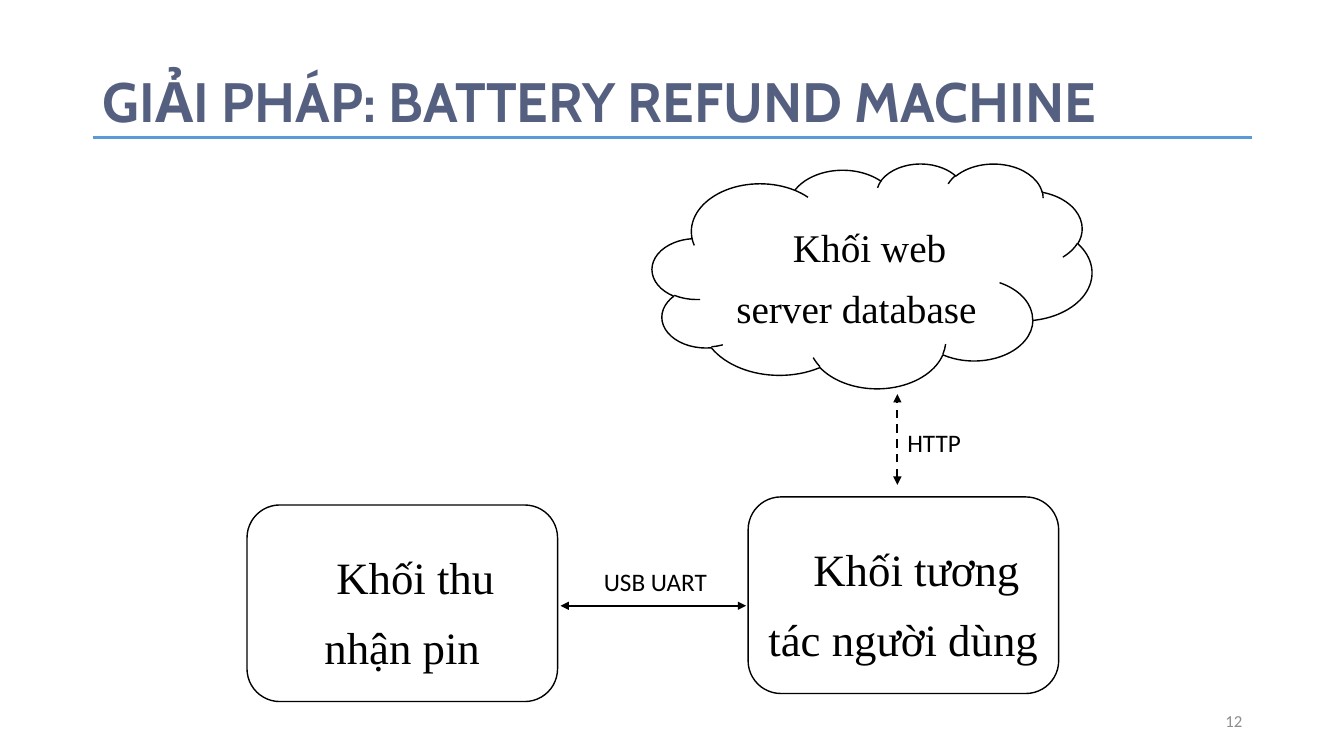
from pptx import Presentation
from pptx.dml.color import RGBColor
from pptx.enum.dml import MSO_LINE
from pptx.enum.shapes import MSO_CONNECTOR, MSO_SHAPE
from pptx.enum.text import MSO_ANCHOR, PP_ALIGN
from pptx.oxml.ns import qn
from pptx.util import Inches, Pt
from lxml.etree import SubElement

WIDTH, HEIGHT = 13.33, 7.5
BLACK = "000000"
MARGIN = 0.92
RULE_Y = 1.36
BLOCK_SIZE = (3.08, 1.95)
LABEL_SIZE = (1.31, 0.4)

TITLE = "GIẢI PHÁP: BATTERY REFUND MACHINE"
PAGE = "12"
BLOCKS = [
    ("Khối thu nhận pin", MSO_SHAPE.ROUNDED_RECTANGLE, (2.45, 5.01), BLOCK_SIZE, 32),
    ("Khối tương tác người dùng", MSO_SHAPE.ROUNDED_RECTANGLE, (7.42, 4.93), BLOCK_SIZE, 32),
    ("Khối web server database", MSO_SHAPE.CLOUD, (6.47, 1.62), (4.36, 2.23), 28),
]
LINKS = [
    ("USB UART", (5.89, 5.57), (5.56, 6.01), (7.4, 6.01), None),
    ("HTTP", (8.9, 4.19), (8.9, 4.81), (8.9, 3.91), MSO_LINE.DASH),
]


def color(value):
    return RGBColor.from_string(value)


def write(frame, text, size, font, ink, anchor, bold=False, align=PP_ALIGN.LEFT):
    frame.word_wrap = True
    frame.vertical_anchor = anchor
    paragraph = frame.paragraphs[0]
    paragraph.alignment = align
    run = paragraph.add_run()
    run.text = text
    run.font.size = Pt(size)
    run.font.name = font
    run.font.bold = bold
    run.font.color.rgb = color(ink)
    return paragraph


def add_text(slide, place, size, *style, **options):
    box = slide.shapes.add_textbox(*map(Inches, place + size))
    return write(box.text_frame, *style, **options)


def add_block(slide, text, outline, place, size, points):
    block = slide.shapes.add_shape(outline, *map(Inches, place + size))
    block.shadow.inherit = False
    block.fill.background()
    block.line.color.rgb = color(BLACK)
    block.line.width = Pt(1)
    paragraph = write(block.text_frame, text, points, "Times New Roman", BLACK,
                      MSO_ANCHOR.MIDDLE, align=PP_ALIGN.CENTER)
    paragraph.line_spacing = 1.3
    paragraph.space_after = Pt(3)
    paragraph._p.get_or_add_pPr().set("indent", str(Inches(0.26)))


def add_line(slide, start, end, ink, width, dash=None, arrows=False):
    line = slide.shapes.add_connector(MSO_CONNECTOR.STRAIGHT, *map(Inches, start + end))
    line.line.color.rgb = color(ink)
    line.line.width = Pt(width)
    if dash:
        line.line.dash_style = dash
    if arrows:
        for end_tag in ("a:headEnd", "a:tailEnd"):
            SubElement(line.line._get_or_add_ln(), qn(end_tag), type="triangle")
    SubElement(line._element.spPr, qn("a:effectLst"))


def main():
    deck = Presentation()
    deck.slide_width, deck.slide_height = Inches(WIDTH), Inches(HEIGHT)
    slide = deck.slides.add_slide(deck.slide_layouts[6])

    add_line(slide, (MARGIN, RULE_Y), (WIDTH - MARGIN + 0.01, RULE_Y), "5B9BD5", 2.25)
    heading = add_text(slide, (MARGIN, 0.4), (11.64, 1.27), TITLE, 39.6, "Cabin",
                       "556080", MSO_ANCHOR.MIDDLE, bold=True)
    heading.line_spacing = 0.9
    add_text(slide, (9.42, 6.95), (3, 0.4), PAGE, 12, "Calibri", "8C8C8C",
             MSO_ANCHOR.MIDDLE, align=PP_ALIGN.RIGHT)

    for block in BLOCKS:
        add_block(slide, *block)
    for label, label_place, start, end, dash in LINKS:
        add_line(slide, start, end, BLACK, 1.5, dash, arrows=True)
        add_text(slide, label_place, LABEL_SIZE, label, 18, "Calibri", BLACK, MSO_ANCHOR.TOP)

    deck.save("out.pptx")


if __name__ == "__main__":
    main()
